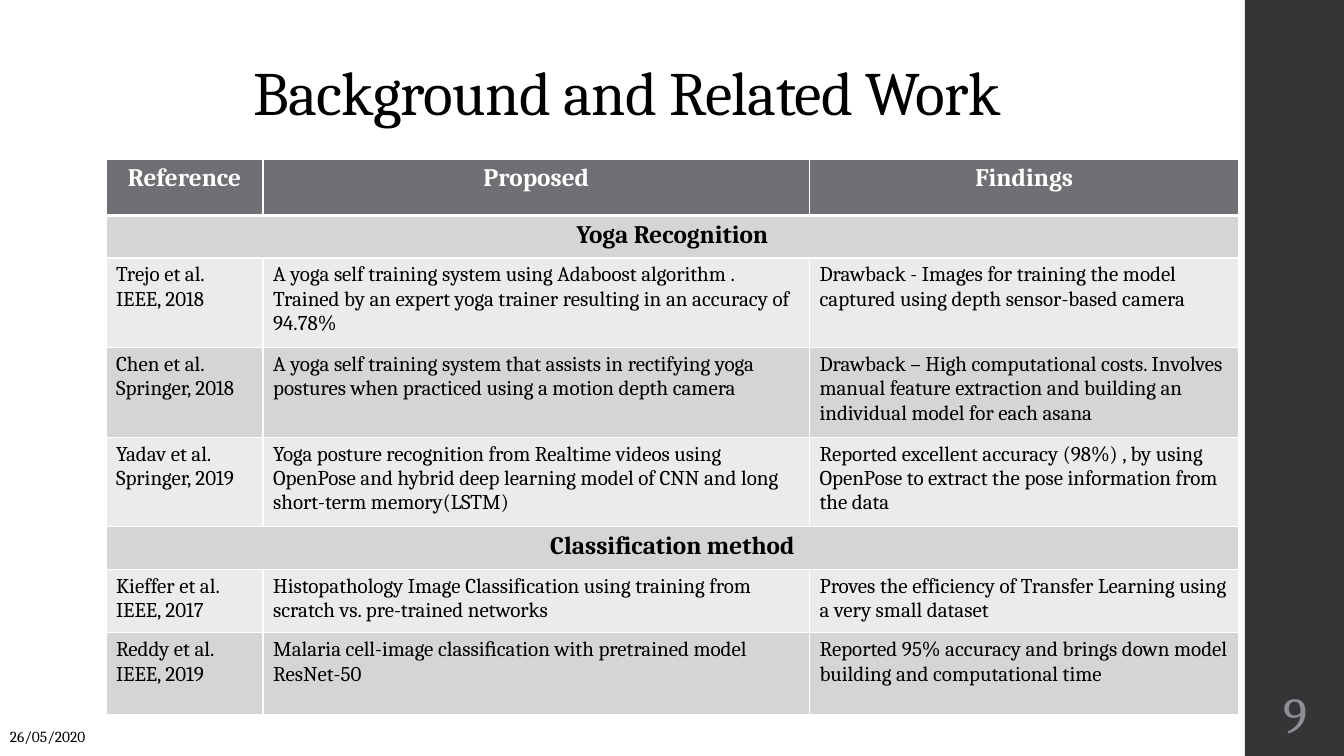
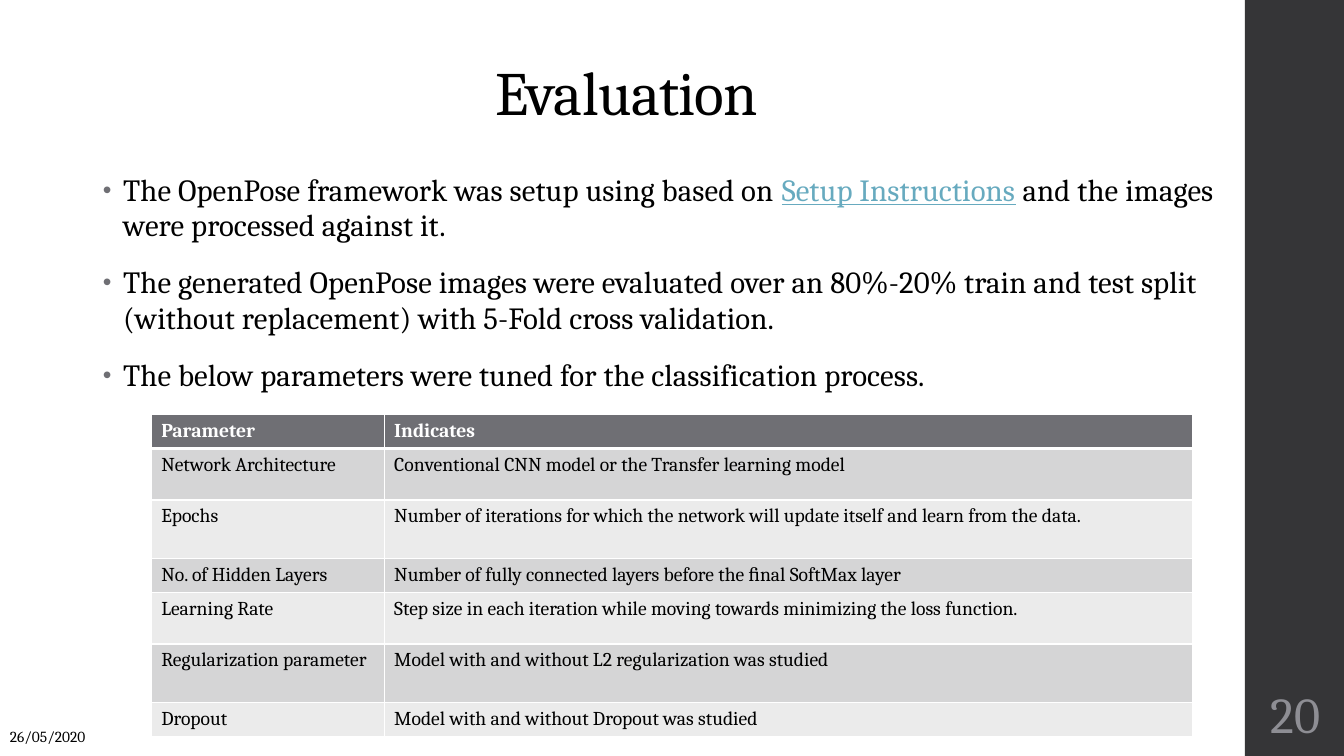
from lxml.etree import SubElement
from pptx import Presentation
from pptx.dml.color import RGBColor
from pptx.enum.shapes import MSO_SHAPE as Shape
from pptx.enum.text import MSO_ANCHOR as Anchor, MSO_AUTO_SIZE as AutoSize, PP_ALIGN as Align
from pptx.oxml import parse_xml
from pptx.oxml.ns import nsdecls, qn
from pptx.util import Cm, Pt

FONT = "Cambria"
COLORS = {
    "text": "000000", "white": "FFFFFF", "band": "353537", "number": "8E8E94",
    "accent": "6F6F74", "link": "67AABF", "dark_row": "D5D5D6", "light_row": "EBEBEB",
}
SLIDE_SIZE = (33.87, 19.05)
BAND_BOX = (31.37, 0, 2.5, 19.05)
TITLE_BOX = (2.34, 1.02, 26.92, 2.36)
BODY_BOX = (2.34, 4.24, 29.21, 13.74)
NUMBER_BOX = (31.37, 17.15, 2.54, 1.65)
DATE_BOX = (0, 18.21, 2.54, 0.74)
DATE = "26/05/2020"

RELATED_WORK = {
    "position": (2.67, 4.01),
    "columns": (3.96, 13.77, 10.82),
    "heights": (1.42, 1.07, 2.26, 2.26, 2.26, 1.07, 1.6, 2.06),
    "size": 15,
    "heading_size": 18,
    "heading_align": Align.CENTER,
    "rows": [
        ("Reference", "Proposed", "Findings"),
        ("Yoga Recognition",),
        ("Trejo et al.\nIEEE, 2018",
         "A yoga self training system using Adaboost algorithm . Trained by an expert yoga trainer "
         "resulting in an accuracy of 94.78%",
         "Drawback - Images for training the model captured using depth sensor-based camera"),
        ("Chen et al.\nSpringer, 2018",
         "A yoga self training system that assists in rectifying yoga postures when practiced "
         "using a motion depth camera",
         "Drawback – High computational costs. Involves manual feature extraction and building "
         "an individual model for each asana"),
        ("Yadav et al.\nSpringer, 2019",
         "Yoga posture recognition from Realtime videos using OpenPose and hybrid deep learning "
         "model of CNN and long short-term memory(LSTM)",
         "Reported excellent accuracy (98%) , by using OpenPose to extract the pose information "
         "from the data"),
        ("Classification method",),
        ("Kieffer et al.\nIEEE, 2017",
         "Histopathology Image Classification using training from scratch vs. pre-trained networks",
         "Proves the efficiency of Transfer Learning using a very small dataset"),
        ("Reddy et al.\nIEEE, 2019",
         "Malaria cell-image classiﬁcation with pretrained model ResNet-50",
         "Reported 95% accuracy and brings down model building and computational time"),
    ],
}
PARAMETERS = {
    "position": (3.81, 10.44),
    "columns": (5.87, 20.37),
    "heights": (0.86, 1.3, 1.47, 0.86, 1.3, 1.47, 0.86),
    "size": 14,
    "heading_size": 14,
    "heading_align": Align.LEFT,
    "rows": [
        ("Parameter", "Indicates"),
        ("Network Architecture", "Conventional CNN model or the Transfer learning model"),
        ("Epochs",
         "Number of iterations for which the network will update itself and learn from the data."),
        ("No. of Hidden Layers", "Number of fully connected layers before the ﬁnal SoftMax layer"),
        ("Learning Rate",
         "Step size in each iteration while moving towards minimizing the loss function."),
        ("Regularization parameter", "Model with and without L2 regularization was studied"),
        ("Dropout", "Model with and without Dropout was studied"),
    ],
}
BULLETS = [
    [("The OpenPose framework was setup using based on ", {}),
     ("Setup Instructions", {"color": "link", "underline": True}),
     (" and the images were processed against it.", {})],
    [("The generated OpenPose images were evaluated over an 80%-20% train and test split "
      "(without replacement) with 5-Fold cross validation.", {})],
    [("The below parameters were tuned for the classification process.", {})],
]
SLIDES = [
    {"title": "Background and Related Work", "number": "9", "bullets": [], "table": RELATED_WORK},
    {"title": "Evaluation", "number": "20", "bullets": BULLETS, "table": PARAMETERS},
]


def rgb(name):
    return RGBColor.from_string(COLORS[name])


def write_text(paragraph, text, size, color="text", bold=False, underline=False,
               align=None, spacing=None):
    run = paragraph.add_run()
    run.text = text
    font = run.font
    font.name, font.size, font.bold = FONT, Pt(size), bold
    font.underline = underline
    font.color.rgb = rgb(color)
    if align is not None:
        paragraph.alignment = align
    if spacing is not None:
        run._r.get_or_add_rPr().set("spc", str(round(spacing * 100)))


def place(shape, box):
    shape.left, shape.top, shape.width, shape.height = map(Cm, box)


def add_master_band(presentation, slide):
    band = slide.shapes.add_shape(Shape.RECTANGLE, *map(Cm, BAND_BOX))
    band.shadow.inherit = False
    band.fill.solid()
    band.fill.fore_color.rgb = rgb("band")
    band.line.fill.background()
    presentation.slide_master.shapes._spTree.insert(2, band._element)


def add_title(slide, text):
    title = slide.shapes.title
    place(title, TITLE_BOX)
    frame = title.text_frame
    frame.auto_size = AutoSize.NONE
    frame.vertical_anchor = Anchor.BOTTOM
    paragraph = frame.paragraphs[0]
    paragraph.line_spacing = 0.9
    write_text(paragraph, text, size=44, align=Align.CENTER, spacing=-0.5)


def add_label(slide, text, box, inset=None, anchor=Anchor.TOP, **style):
    frame = slide.shapes.add_textbox(*map(Cm, box)).text_frame
    frame.word_wrap = True
    frame.vertical_anchor = anchor
    if inset is not None:
        frame.margin_left = frame.margin_right = Cm(inset)
        frame.margin_top = frame.margin_bottom = Cm(inset)
    write_text(frame.paragraphs[0], text, **style)


def add_bullet(paragraph):
    properties = paragraph._p.get_or_add_pPr()
    properties.set("marL", str(Cm(0.51)))
    properties.set("indent", str(-Cm(0.51)))
    color = SubElement(properties, qn("a:buClr"))
    SubElement(color, qn("a:srgbClr"), val=COLORS["accent"])
    SubElement(properties, qn("a:buSzPct"), val="80000")
    SubElement(properties, qn("a:buFont"), typeface="Arial")
    SubElement(properties, qn("a:buChar"), char="•")


def add_body(slide, bullets):
    body = slide.placeholders[1]
    place(body, BODY_BOX)
    frame = body.text_frame
    frame.auto_size = AutoSize.NONE
    for index, pieces in enumerate(bullets):
        paragraph = frame.add_paragraph() if index else frame.paragraphs[0]
        add_bullet(paragraph)
        paragraph.line_spacing = 0.95
        paragraph.space_before = Pt(14 if index else 0)
        paragraph.space_after = Pt(2)
        for text, style in pieces:
            write_text(paragraph, text, size=22, spacing=0.1, **style)


def set_borders(cell, top, bottom):
    properties = cell._tc.get_or_add_tcPr()
    widths = {"lnL": 1, "lnR": 1, "lnT": top, "lnB": bottom}
    for index, (side, width) in enumerate(widths.items()):
        properties.insert(index, parse_xml(
            f'<a:{side} {nsdecls("a")} w="{Pt(width)}"><a:solidFill>'
            f'<a:srgbClr val="{COLORS["white"]}"/></a:solidFill></a:{side}>'))


def add_grid(slide, spec_table):
    rows, columns, heights = (spec_table[key] for key in ("rows", "columns", "heights"))
    box = (*spec_table["position"], sum(columns), sum(heights))
    table = slide.shapes.add_table(len(rows), len(columns), *map(Cm, box)).table
    for column, width in zip(table.columns, columns):
        column.width = Cm(width)
    for row_index, texts in enumerate(rows):
        table.rows[row_index].height = Cm(heights[row_index])
        header = row_index == 0
        section = len(texts) == 1
        if section:
            table.cell(row_index, 0).merge(table.cell(row_index, len(columns) - 1))
        heading = header or section
        fill = "accent" if header else "dark_row" if row_index % 2 else "light_row"
        style = {
            "size": spec_table["heading_size" if heading else "size"],
            "color": "white" if header else "text",
            "bold": heading,
            "align": spec_table["heading_align"] if heading else Align.LEFT,
        }
        for column_index in range(len(columns)):
            cell = table.cell(row_index, column_index)
            cell.fill.solid()
            cell.fill.fore_color.rgb = rgb(fill)
            set_borders(cell, top=3 if row_index == 1 else 1, bottom=3 if header else 1)
            if column_index < len(texts):
                for index, line in enumerate(texts[column_index].split("\n")):
                    frame = cell.text_frame
                    paragraph = frame.add_paragraph() if index else frame.paragraphs[0]
                    write_text(paragraph, line, **style)


def main():
    presentation = Presentation()
    presentation.slide_width, presentation.slide_height = map(Cm, SLIDE_SIZE)
    for index, content in enumerate(SLIDES):
        layout = presentation.slide_layouts[1 if content["bullets"] else 5]
        slide = presentation.slides.add_slide(layout)
        if index == 0:
            add_master_band(presentation, slide)
        add_title(slide, content["title"])
        if content["bullets"]:
            add_body(slide, content["bullets"])
        add_grid(slide, content["table"])
        add_label(slide, content["number"], NUMBER_BOX, inset=0.13, anchor=Anchor.MIDDLE,
                  size=36, color="number", align=Align.CENTER)
        add_label(slide, DATE, DATE_BOX, size=11)
    presentation.save("out.pptx")


if __name__ == "__main__":
    main()
